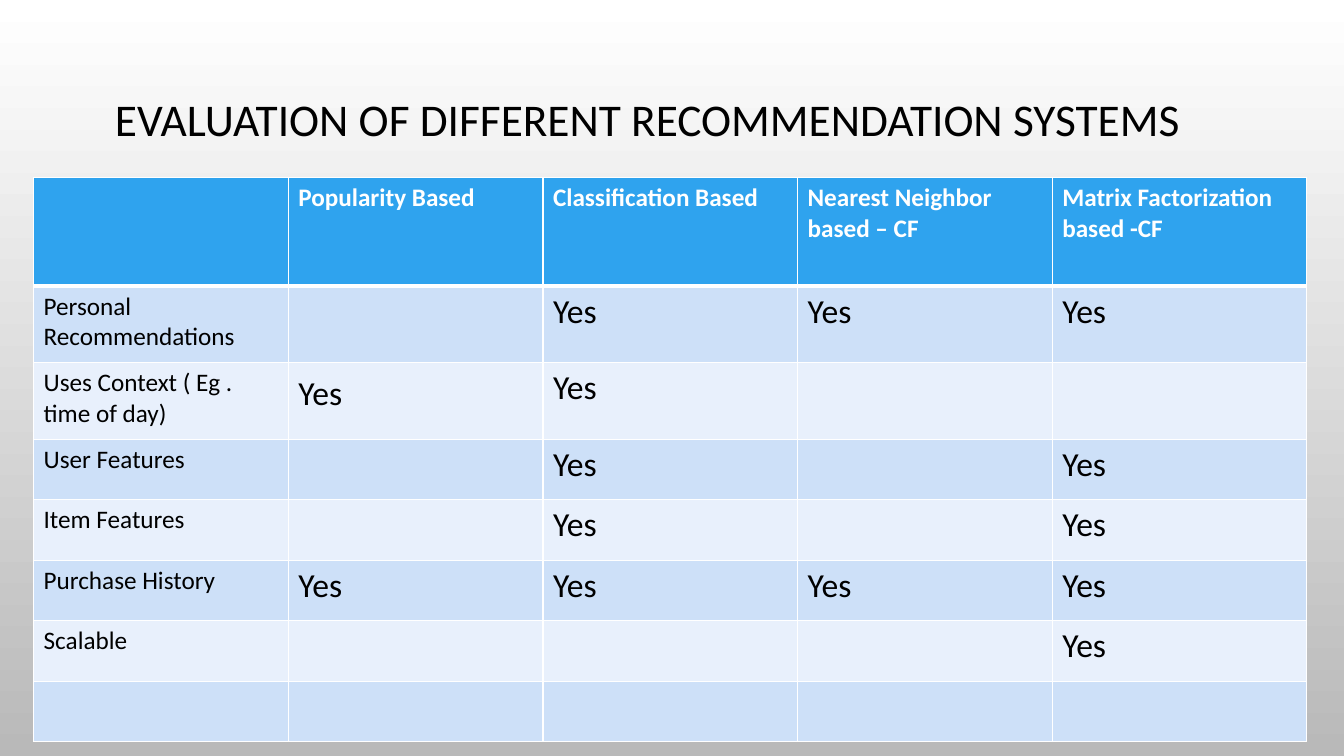
from pptx import Presentation
from pptx.dml.color import RGBColor
from pptx.enum.text import MSO_ANCHOR, PP_ALIGN
from pptx.oxml.ns import qn
from pptx.util import Pt
from lxml.etree import SubElement

COLORS = {
    "top": "FFFFFF",
    "bottom": "B9B9B9",
    "header": "2FA3EE",
    "band": "CDE0F8",
    "light": "E8F0FC",
    "border": "FFFFFF",
    "header_text": "FFFFFF",
    "text": "000000",
}
FONT = "Calibri"
TITLE = "EVALUATION OF DIFFERENT RECOMMENDATION SYSTEMS"
SYSTEMS = [
    "",
    "Popularity Based",
    "Classification Based",
    "Nearest Neighbor based – CF",
    "Matrix Factorization based -CF",
]
CRITERIA = [
    ("Personal Recommendations", {2, 3, 4}),
    ("Uses Context ( Eg . time of day)", {1, 2}),
    ("User Features", {2, 4}),
    ("Item Features", {2, 4}),
    ("Purchase History", {1, 2, 3, 4}),
    ("Scalable", {4}),
    ("", set()),
]
COLUMN_WIDTH = 181.9
ROW_HEIGHTS = [77.5, 54.7, 54.7] + [43.2] * 5
LABEL_SIZE, YES_SIZE = 18, 24


def rgb(name):
    return RGBColor.from_string(COLORS[name])


def add_run(paragraph, text, size, color="text", bold=False):
    run = paragraph.add_run()
    run.text = text
    run.font.name = FONT
    run.font.size = Pt(size)
    run.font.bold = bold
    run.font.color.rgb = rgb(color)


def paint_background(slide):
    fill = slide.background.fill
    fill.gradient()
    fill.gradient_angle = 270
    for stop, position, name in zip(fill.gradient_stops, (0, 1), ("top", "bottom")):
        stop.position = position
        stop.color.rgb = rgb(name)


def add_title(slide):
    title = slide.shapes.title
    title.left, title.top, title.width, title.height = Pt(37.4), Pt(62), Pt(850.3), Pt(85)
    frame = title.text_frame
    frame.word_wrap = True
    frame.vertical_anchor = MSO_ANCHOR.MIDDLE
    frame.margin_bottom = Pt(39)
    paragraph = frame.paragraphs[0]
    paragraph.alignment = PP_ALIGN.CENTER
    paragraph.line_spacing = 0.9
    add_run(paragraph, TITLE, 32.4)


def set_borders(cell, top, bottom):
    properties = cell._tc.get_or_add_tcPr()
    for side, width in (("L", 1), ("R", 1), ("T", top), ("B", bottom)):
        line = SubElement(properties, qn(f"a:ln{side}"), w=str(Pt(width)))
        SubElement(SubElement(line, qn("a:solidFill")), qn("a:srgbClr"), val=COLORS["border"])


def format_cell(cell, row):
    set_borders(cell, 3 if row == 1 else 1, 3 if row == 0 else 1)
    cell.fill.solid()
    cell.fill.fore_color.rgb = rgb("header" if row == 0 else "band" if row % 2 else "light")


def add_table(slide):
    columns = len(SYSTEMS)
    frame = slide.shapes.add_table(
        len(ROW_HEIGHTS), columns, Pt(24), Pt(126.9),
        Pt(COLUMN_WIDTH * columns), Pt(sum(ROW_HEIGHTS)),
    )
    table = frame.table
    for column in table.columns:
        column.width = Pt(COLUMN_WIDTH)
    for row, height in enumerate(ROW_HEIGHTS):
        table.rows[row].height = Pt(height)
        for column in range(columns):
            format_cell(table.cell(row, column), row)
    for column, system in enumerate(SYSTEMS):
        if system:
            add_run(table.cell(0, column).text_frame.paragraphs[0],
                    system, LABEL_SIZE, "header_text", True)
    for row, (criterion, met) in enumerate(CRITERIA, 1):
        if criterion:
            add_run(table.cell(row, 0).text_frame.paragraphs[0], criterion, LABEL_SIZE)
        for column in met:
            add_run(table.cell(row, column).text_frame.paragraphs[0], "Yes", YES_SIZE)
    add_run(table.cell(2, 1).text_frame.paragraphs[0], " ", 28)


def main():
    """Build the slide that compares recommendation systems."""
    presentation = Presentation()
    presentation.slide_width, presentation.slide_height = Pt(960), Pt(540)
    slide = presentation.slides.add_slide(presentation.slide_layouts[5])
    paint_background(slide)
    add_title(slide)
    add_table(slide)
    presentation.save("out.pptx")


if __name__ == "__main__":
    main()
